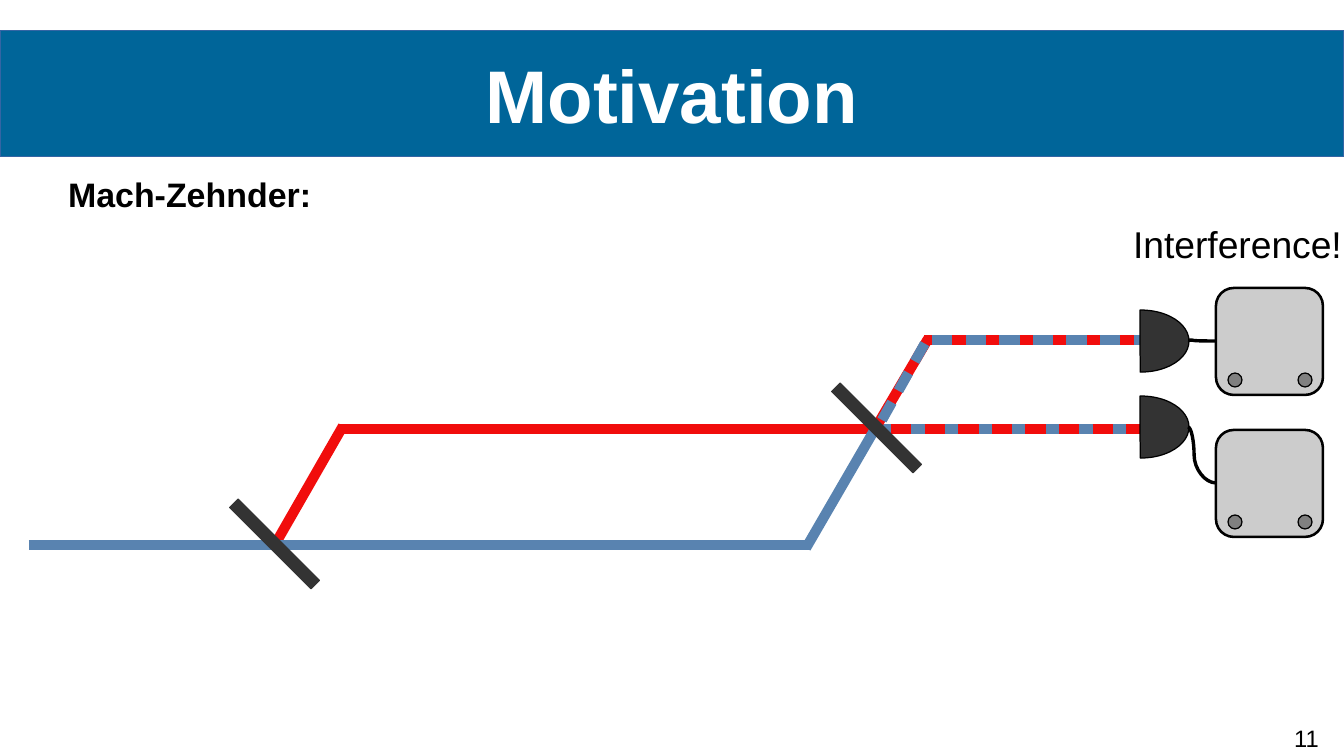
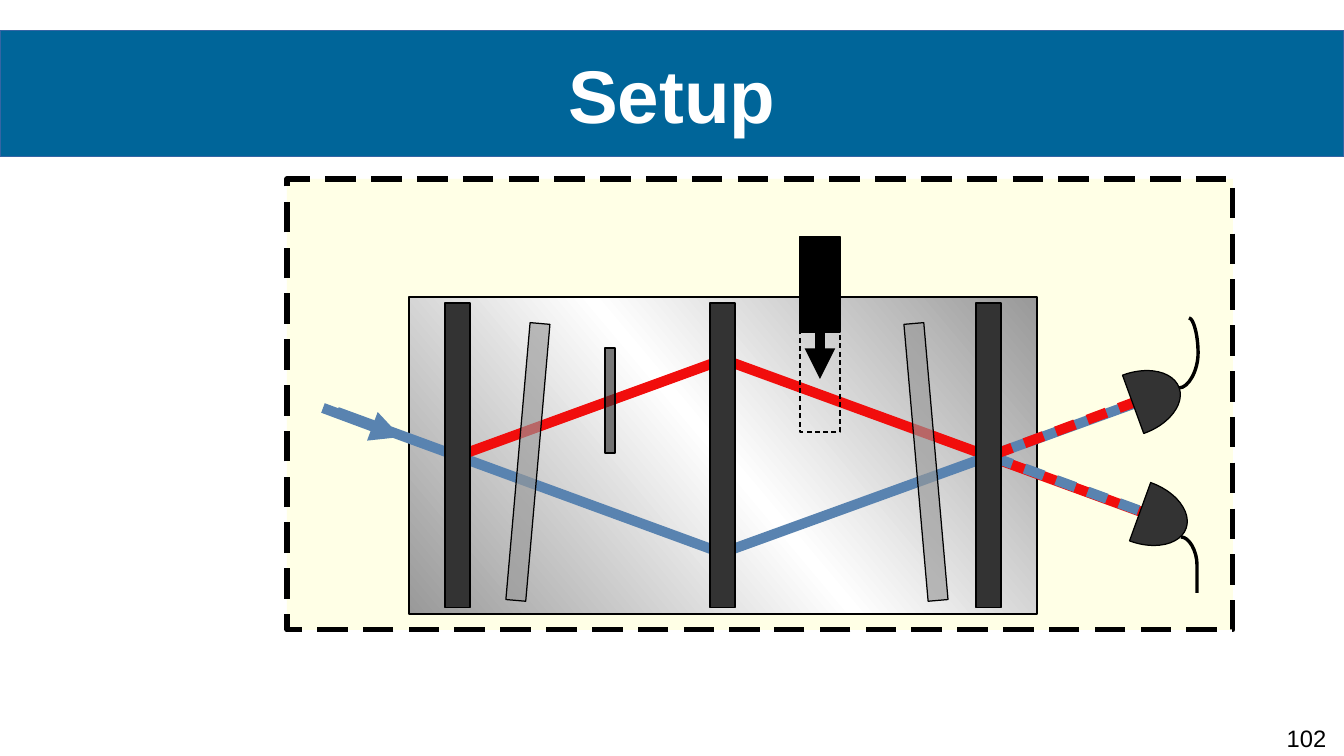
from copy import deepcopy
from lxml.etree import SubElement
from pptx import Presentation
from pptx.dml.color import RGBColor
from pptx.enum.shapes import MSO_CONNECTOR, MSO_SHAPE
from pptx.enum.text import MSO_ANCHOR, MSO_AUTO_SIZE, PP_ALIGN
from pptx.oxml.ns import qn
from pptx.util import Pt

PX = 7495
BAND = RGBColor(0x00, 0x65, 0x99)
EDGE = RGBColor(0x34, 0x65, 0xA4)
BLUE = RGBColor(0x59, 0x83, 0xB0)
RED = RGBColor(0xF1, 0x0D, 0x0C)
DARK = RGBColor(0x33, 0x33, 0x33)
GRAY = RGBColor(0x80, 0x80, 0x80)
LIGHT = RGBColor(0xCC, 0xCC, 0xCC)
GLASS = RGBColor(0x99, 0x99, 0x99)
CREAM = RGBColor(0xFF, 0xFF, 0xE6)
BLACK = RGBColor(0, 0, 0)
WHITE = RGBColor(255, 255, 255)


def draw(slide, kind, x, y, w, h, fill, edge=BLACK, width=0, turn=0, alpha=None):
    item = slide.shapes.add_shape(kind, x * PX, y * PX, w * PX, h * PX)
    item.shadow.inherit = False
    item.rotation = turn
    if fill is None:
        item.fill.background()
    else:
        item.fill.solid()
        item.fill.fore_color.rgb = fill
    if alpha:
        color = item.element.spPr.find(".//" + qn("a:srgbClr"))
        SubElement(color, qn("a:alpha"), val=str(alpha * 1000))
    if edge is None:
        item.line.fill.background()
    else:
        item.line.color.rgb = edge
        item.line.width = Pt(width)
    if kind == MSO_SHAPE.CHORD:
        item.adjustments[0] = 52.95
        item.adjustments[1] = 162.97
    return item


def link(slide, x1, y1, x2, y2, color, width=6, head=False, bend=None):
    kind = MSO_CONNECTOR.STRAIGHT if bend is None else MSO_CONNECTOR.CURVE
    item = slide.shapes.add_connector(kind, x1 * PX, y1 * PX, x2 * PX, y2 * PX)
    item.line.color.rgb = color
    item.line.width = Pt(width)
    spot = item.element.spPr
    if head:
        SubElement(spot.find(qn("a:ln")), qn("a:tailEnd"), type="triangle")
    if bend is not None:
        guides = spot.find(".//" + qn("a:avLst"))
        SubElement(guides, qn("a:gd"), name="adj1", fmla=f"val {bend}")
    SubElement(spot, qn("a:effectLst"))
    return item


deck = Presentation()
deck.slide_width = 1344 * PX
deck.slide_height = 756 * PX

for name, page, layout in (("Motivation", "11", 1), ("Setup", "102", 5)):
    slide = deck.slides.add_slide(deck.slide_layouts[layout])
    title = slide.shapes.title
    title.left, title.top, title.width, title.height = 0, 30 * PX, 1344 * PX, 127 * PX
    title.fill.solid()
    title.fill.fore_color.rgb = BAND
    title.line.color.rgb = EDGE
    title.line.width = Pt(0)
    title.text = name
    label = draw(slide, MSO_SHAPE.RECTANGLE, 1269, 720, 75, 36, WHITE, None)
    label.text = page
    for item, size, color in ((title, 44, WHITE), (label, 14, BLACK)):
        frame = item.text_frame
        frame.vertical_anchor = MSO_ANCHOR.MIDDLE
        frame.auto_size = MSO_AUTO_SIZE.NONE
        para = frame.paragraphs[0]
        para.alignment = PP_ALIGN.CENTER
        para.font.name = "Arial"
        para.font.size = Pt(size)
        para.font.bold = item is title
        para.font.color.rgb = color
    frame = title.text_frame
    frame.margin_left = frame.margin_top = frame.margin_right = frame.margin_bottom = 0

first, second = deck.slides

# Motivation
for x1, y1, x2, y2, color in (
    (874, 429, 1142, 429, BLUE),
    (339, 429, 877, 429, RED),
    (273, 548, 343, 426, RED),
    (924, 340, 1168, 340, RED),
    (29, 545, 810, 545, BLUE),
    (806, 548, 875, 429, BLUE),
    (875, 429, 928, 339, RED),
):
    link(first, x1, y1, x2, y2, color)

dashed = []
for x1, y1, x2, y2, color in (
    (891, 429, 1159, 429, RED),
    (932, 340, 1152, 340, BLUE),
    (882, 420, 928, 338, BLUE),
):
    dashed.append((link(first, x1, y1, x2, y2, color), 200, 130))

for y in (396, 310):
    draw(first, MSO_SHAPE.CHORD, 1093, y, 96, 62, DARK, turn=180)
link(first, 1188, 427, 1216, 483, BLACK, 0, bend=21700)
link(first, 1188, 340, 1216, 341, BLACK, 0, bend=21600)

for y in (288, 430):
    draw(first, MSO_SHAPE.ROUNDED_RECTANGLE, 1216, y, 107, 107, LIGHT, width=1.5)
    for x in (1228, 1298):
        draw(first, MSO_SHAPE.OVAL, x, y + 85, 14, 14, GRAY)

for x, y in ((217, 538), (819, 422)):
    draw(first, MSO_SHAPE.RECTANGLE, x, y, 115, 12, DARK, DARK, turn=45)

body = first.placeholders[1]
body.left, body.top, body.width, body.height = 68 * PX, 174 * PX, 260 * PX, 63 * PX
frame = body.text_frame
frame.margin_left = frame.margin_top = frame.margin_right = frame.margin_bottom = 0
frame.auto_size = MSO_AUTO_SIZE.NONE
frame.text = "Mach-Zehnder:"
props = frame.paragraphs[0]._p.get_or_add_pPr()
props.set("marL", "0")
props.set("indent", "0")
SubElement(props, qn("a:buNone"))
note = first.shapes.add_textbox(1121 * PX, 215 * PX, 233 * PX, 54 * PX)
note.text_frame.word_wrap = False
note.text_frame.text = "Interference!"
for item, size in ((body, 20), (note, 22)):
    para = item.text_frame.paragraphs[0]
    para.space_before = Pt(0)
    para.font.name = "Arial"
    para.font.size = Pt(size)
    para.font.bold = item is body
    para.font.color.rgb = BLACK

# Setup
panel = draw(second, MSO_SHAPE.RECTANGLE, 287, 179, 946, 451, CREAM, width=3)
dashed.append((panel, 600, 300))
plate = draw(second, MSO_SHAPE.RECTANGLE, 409, 297, 628, 317, WHITE)
plate.fill.gradient()
plate.fill.gradient_angle = 40
stops = plate.fill.gradient_stops
for stop, color, place in zip(stops, (GLASS, WHITE), (0, 0.5)):
    stop.color.rgb = color
    stop.position = place
ramp = plate.element.spPr.find(".//" + qn("a:gsLst"))
last = deepcopy(ramp[0])
last.set("pos", "100000")
ramp.append(last)

link(second, 323, 408, 401, 437, BLUE, head=True)
for x1, y1, x2, y2, color in (
    (337, 412, 722, 553, BLUE),
    (461, 455, 722, 360, RED),
    (725, 360, 1147, 514, RED),
    (722, 553, 1147, 399, BLUE),
):
    link(second, x1, y1, x2, y2, color)
for y1, y2, color in ((457, 516, BLUE), (455, 395, RED)):
    dashed.append((link(second, 993, y1, 1154, y2, color), 200, 130))

for x in (445, 710, 976):
    draw(second, MSO_SHAPE.RECTANGLE, x, 303, 25, 305, DARK)
for x, y, turn in ((1093, 481, 200), (1086, 373, 160)):
    draw(second, MSO_SHAPE.CHORD, x, y, 96, 62, DARK, turn=turn)
link(second, 1181, 537, 1197, 593, BLACK, 0, bend=100000)
link(second, 1179, 388, 1189, 318, BLACK, 0, bend=191500)

for x, turn in ((518, 5), (916, 355)):
    draw(second, MSO_SHAPE.RECTANGLE, x, 323, 20, 278, GLASS, turn=turn, alpha=64)
draw(second, MSO_SHAPE.RECTANGLE, 605, 348, 10, 105, DARK, alpha=65)
draw(second, MSO_SHAPE.RECTANGLE, 800, 237, 40, 95, BLACK, width=1.5)
link(second, 820, 320, 820, 379, BLACK, head=True)
slot = draw(second, MSO_SHAPE.RECTANGLE, 800, 237, 40, 195, None, width=1.5)
dashed.append((slot, 200, 130))

for item, dash, gap in dashed:
    rule = SubElement(item.element.spPr.find(qn("a:ln")), qn("a:custDash"))
    SubElement(rule, qn("a:ds"), d=str(dash * 1000), sp=str(gap * 1000))

deck.save("out.pptx")
